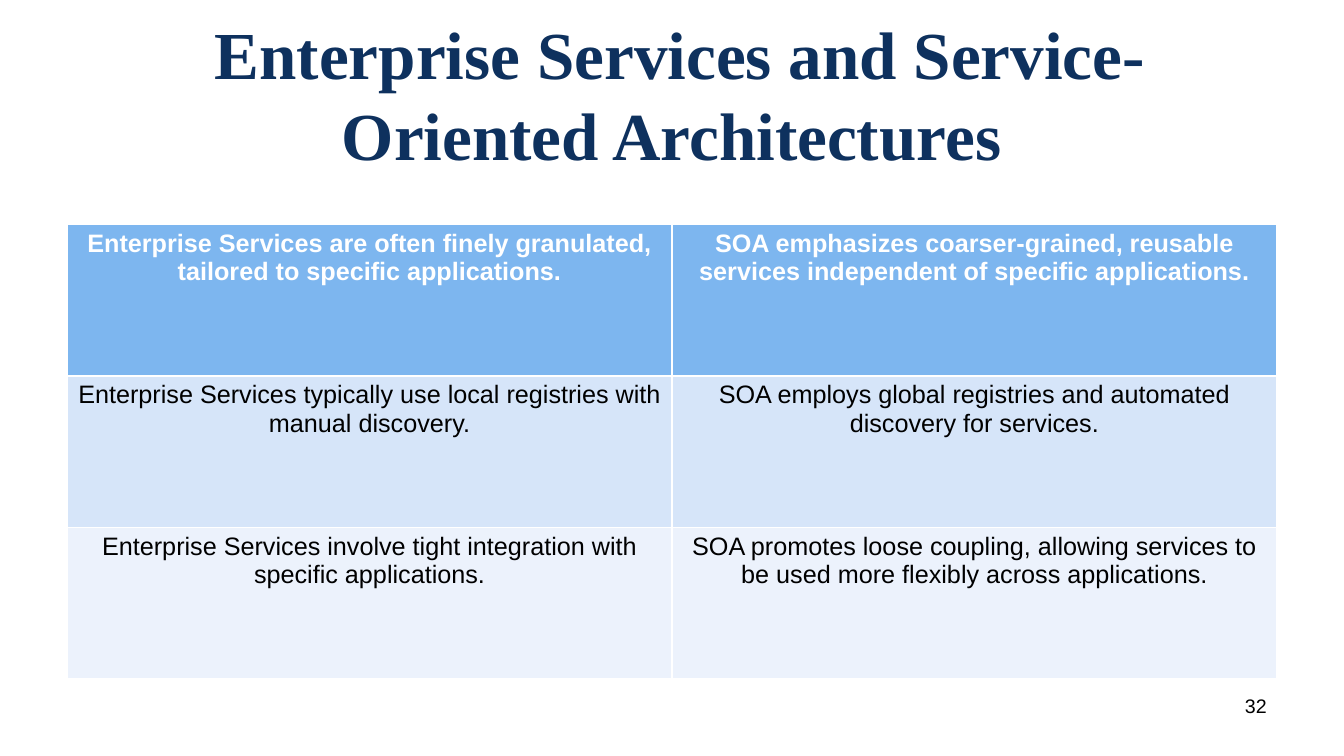
from pptx import Presentation
from pptx.dml.color import RGBColor
from pptx.enum.text import MSO_ANCHOR, PP_ALIGN
from pptx.util import Pt

CENTER, RIGHT = PP_ALIGN.CENTER, PP_ALIGN.RIGHT
TOP, MIDDLE = MSO_ANCHOR.TOP, MSO_ANCHOR.MIDDLE

COLORS = {
    "title": "0E315E",
    "white": "FFFFFF",
    "black": "000000",
    "header": "7DB6EF",
    "band_dark": "D6E5F9",
    "band_light": "ECF2FC",
}

MARGIN = 48
COL_WIDTH, ROW_HEIGHT = 432, 108


def set_text(tf, text, size, color="black", font="Arial", bold=False,
             align=CENTER, anchor=TOP):
    tf.word_wrap = True
    tf.vertical_anchor = anchor
    p = tf.paragraphs[0]
    p.alignment = align
    r = p.add_run()
    r.text = text
    r.font.size = Pt(size)
    r.font.name = font
    r.font.bold = bold
    r.font.color.rgb = RGBColor.from_string(COLORS[color])


prs = Presentation()
prs.slide_width, prs.slide_height = Pt(960), Pt(540)
s = prs.slides.add_slide(prs.slide_layouts[6])

# Title
title = s.shapes.add_textbox(Pt(MARGIN), Pt(21.6), Pt(2 * COL_WIDTH), Pt(90))
set_text(title.text_frame,
         " Enterprise Services and Service-Oriented Architectures",
         48, color="title", font="Times New Roman", bold=True, anchor=MIDDLE)

# Comparison table: fill, text colour, bold, then the two cells of each row
rows = [
    ("header", "white", True,
     ("Enterprise Services are often finely granulated, tailored to specific applications.",
      "SOA emphasizes coarser-grained, reusable services independent of specific applications.")),
    ("band_dark", "black", False,
     ("Enterprise Services typically use local registries with manual discovery.",
      "SOA employs global registries and automated discovery for services.")),
    ("band_light", "black", False,
     ("Enterprise Services involve tight integration with specific applications.",
      "SOA promotes loose coupling, allowing services to be used more flexibly across applications.")),
]
table = s.shapes.add_table(len(rows), 2, Pt(MARGIN), Pt(160.6),
                           Pt(2 * COL_WIDTH), Pt(len(rows) * ROW_HEIGHT)).table
for col in table.columns:
    col.width = Pt(COL_WIDTH)
for i, (fill, color, bold, texts) in enumerate(rows):
    table.rows[i].height = Pt(ROW_HEIGHT)
    for j, text in enumerate(texts):
        cell = table.cell(i, j)
        cell.fill.solid()
        cell.fill.fore_color.rgb = RGBColor.from_string(COLORS[fill])
        set_text(cell.text_frame, text, 18, color=color, bold=bold)

# Page number
number = s.shapes.add_textbox(Pt(688), Pt(492), Pt(224), Pt(37.5))
set_text(number.text_frame, "32", 14, align=RIGHT)

prs.save("out.pptx")
